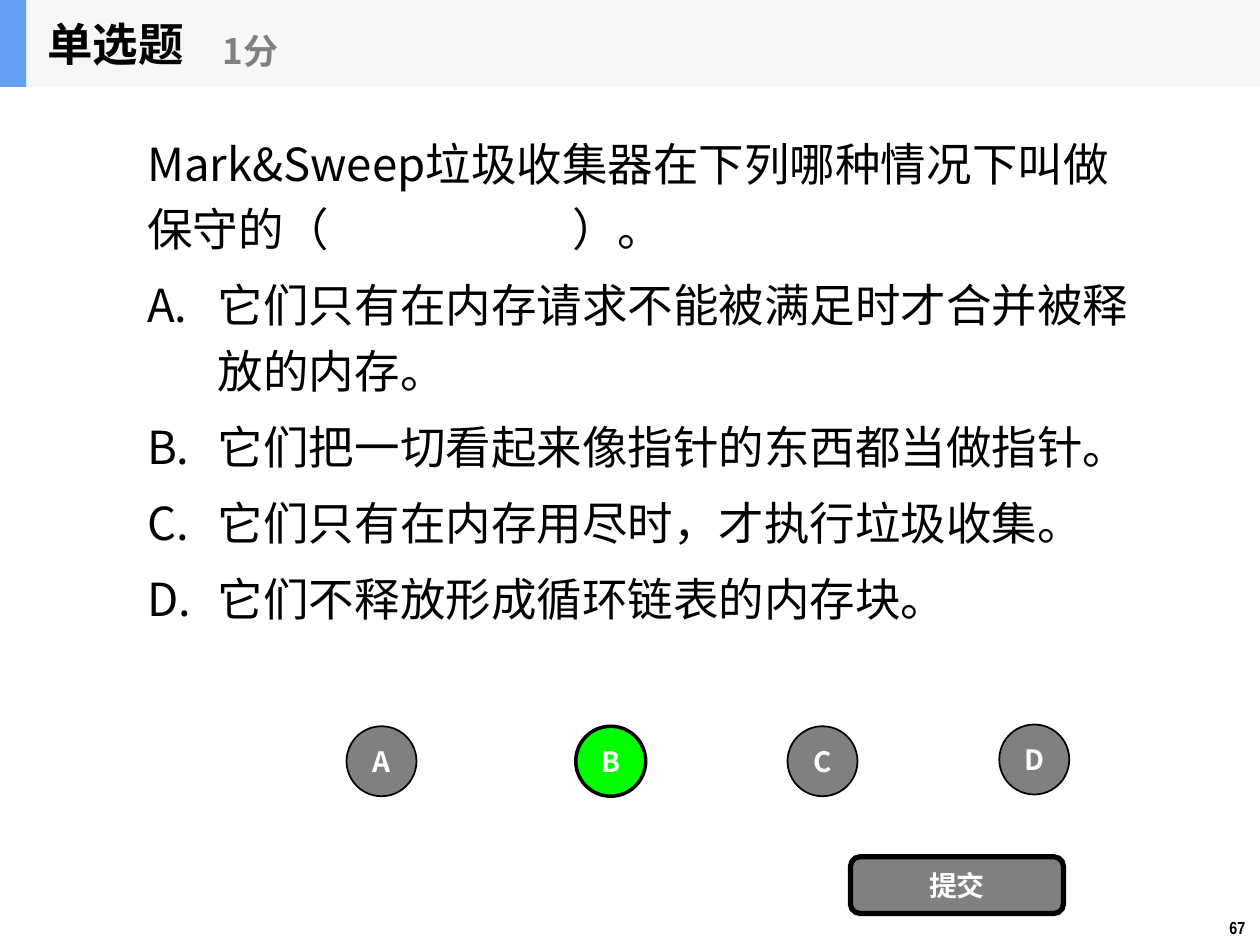
from lxml.etree import SubElement
from pptx import Presentation
from pptx.dml.color import RGBColor
from pptx.enum.shapes import MSO_SHAPE
from pptx.enum.text import MSO_ANCHOR, PP_ALIGN
from pptx.oxml.ns import qn
from pptx.util import Pt

# Content
TITLE, SCORE, PAGE = "单选题", "1分", "67"
ASK = "Mark&Sweep垃圾收集器在下列哪种情况下叫做保守的（\t）。"
CHOICES = [
    "它们只有在内存请求不能被满足时才合并被释放的内存。",
    "它们把一切看起来像指针的东西都当做指针。",
    "它们只有在内存用尽时，才执行垃圾收集。",
    "它们不释放形成循环链表的内存块。",
]
SUBMIT = "提交"
# Answer buttons: letter, left, top, fill, line width
KEYS = [
    ("A", 198, 415, "808080", 1),
    ("B", 329, 415, "00FF00", 2),
    ("C", 450, 415, "808080", 1),
    ("D", 571, 414, "808080", 1),
]

# Formats
SANS, NARROW = "Noto Sans CJK SC", "Arial Narrow"
HEAD = {"name": SANS, "size": Pt(26), "bold": True}
MARK = {"name": SANS, "size": Pt(20), "bold": True}
BODY = {"name": SANS, "size": Pt(26), "bold": False}
LABEL = {"name": SANS, "size": Pt(16), "bold": True}
FOOT = {"name": NARROW, "size": Pt(10), "bold": True}
LINES = {"line_spacing": 1.2, "space_before": Pt(6)}
INDENT, KEY, BAR, GAP = 40.5, 40, 49.7, 243


def color(code):
    return RGBColor.from_string(code)


def put(item, form):
    for name, value in form.items():
        setattr(item, name, value)


def write(para, text, form, tint="000000"):
    run = para.add_run()
    run.text = text
    put(run.font, form)
    run.font.color.rgb = color(tint)
    SubElement(run.font._element, qn("a:ea"), typeface=form["name"])


def block(slide, kind, area, fill, line=0):
    shape = slide.shapes.add_shape(kind, *map(Pt, area))
    shape.shadow.inherit = False
    shape.fill.solid()
    shape.fill.fore_color.rgb = color(fill)
    if line:
        shape.line.color.rgb = color("000000")
        shape.line.width = Pt(line)
    else:
        shape.line.fill.background()
    return shape


def button(slide, kind, area, fill, line, text):
    frame = block(slide, kind, area, fill, line).text_frame
    frame.vertical_anchor = MSO_ANCHOR.MIDDLE
    para = frame.paragraphs[0]
    para.alignment = PP_ALIGN.CENTER
    write(para, text, LABEL, "FFFFFF")


def box(slide, area, wrap=False, anchor=MSO_ANCHOR.TOP):
    frame = slide.shapes.add_textbox(*map(Pt, area)).text_frame
    put(frame, {"word_wrap": wrap, "vertical_anchor": anchor})
    return frame


def main():
    deck = Presentation()
    put(deck, {"slide_width": Pt(720), "slide_height": Pt(540)})
    slide = deck.slides.add_slide(deck.slide_layouts[6])

    # Page number
    write(box(slide, (695.5, 520.6, 24.5, 19.4)).paragraphs[0], PAGE, FOOT)

    # Question, with a tab as the answer gap
    frame = box(slide, (77, 67.7, 576, 310.3), True)
    para = frame.paragraphs[0]
    tabs = SubElement(para._p.get_or_add_pPr(), qn("a:tabLst"))
    SubElement(tabs, qn("a:tab"), pos=str(Pt(GAP)), algn="l")
    para.line_spacing = LINES["line_spacing"]
    write(para, ASK, BODY)

    # Lettered choices
    for text in CHOICES:
        para = frame.add_paragraph()
        props = para._p.get_or_add_pPr()
        props.set("marL", str(Pt(INDENT)))
        props.set("indent", str(-Pt(INDENT)))
        SubElement(props, qn("a:buAutoNum"), type="alphaUcPeriod")
        put(para, LINES)
        write(para, text, BODY)

    # Answer and submit buttons
    for text, left, top, fill, line in KEYS:
        button(slide, MSO_SHAPE.OVAL, (left, top, KEY, KEY), fill, line, text)
    button(slide, MSO_SHAPE.ROUNDED_RECTANGLE, (486, 489.6, 121.7, 32.4),
           "808080", 3, SUBMIT)

    # Header
    block(slide, MSO_SHAPE.RECTANGLE, (0, 0, 720, BAR), "F6F7F8")
    block(slide, MSO_SHAPE.RECTANGLE, (0, 0, 15, BAR), "639EF4")
    middle = MSO_ANCHOR.MIDDLE
    frame = box(slide, (20, 0, 150, BAR), anchor=middle)
    write(frame.paragraphs[0], TITLE, HEAD)
    frame = box(slide, (120, 8.6, 180, 40.3), anchor=middle)
    write(frame.paragraphs[0], SCORE, MARK, "808080")

    deck.save("out.pptx")


if __name__ == "__main__":
    main()
